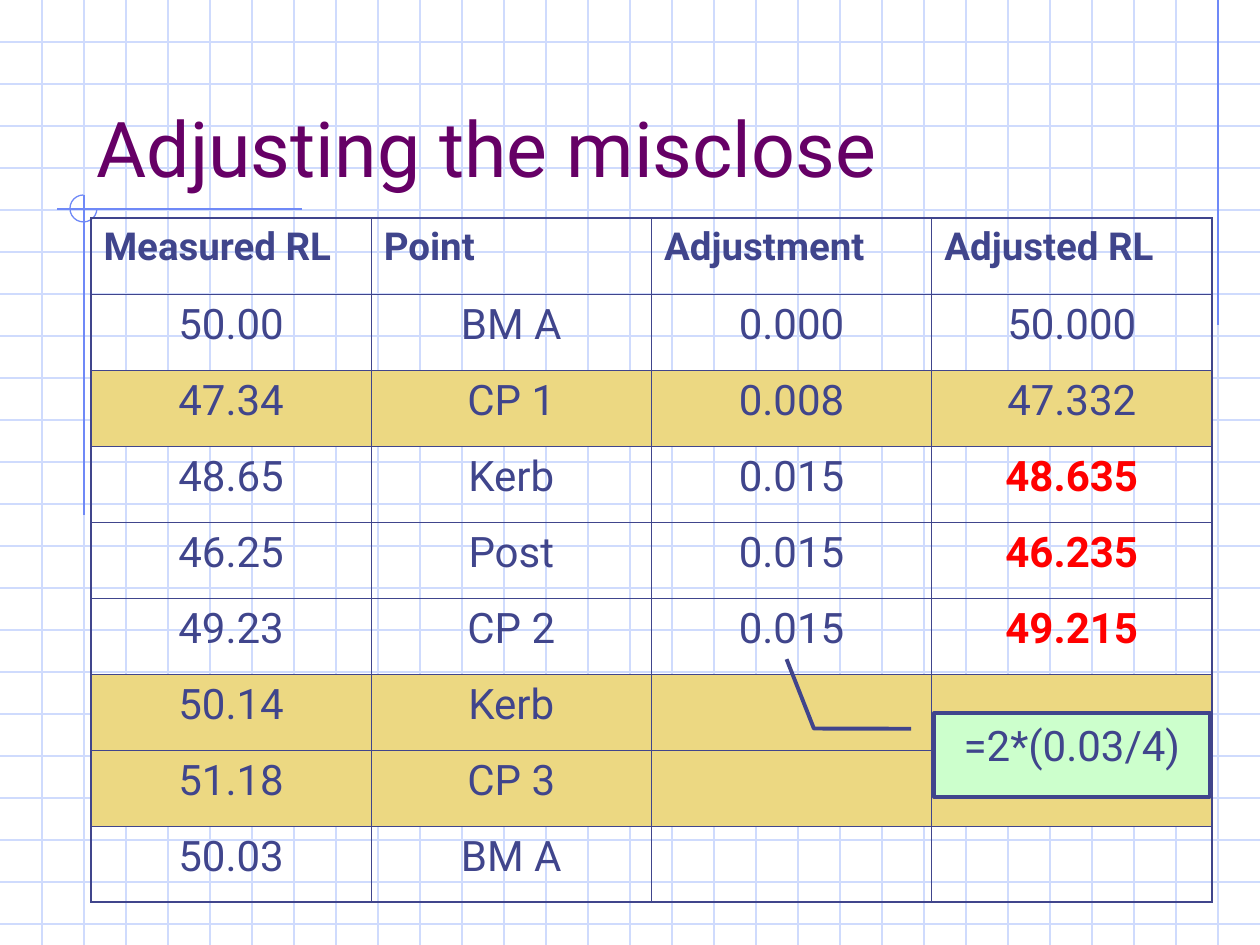
"""Build the slide on adjusting the misclose of a level run."""
import pptx
import pptx.dml.color
import pptx.enum.shapes
import pptx.enum.text
import pptx.oxml
import pptx.oxml.ns
import pptx.util

TITLE = "Adjusting the misclose"
HEAD = ("Measured RL", "Point", "Adjustment", "Adjusted RL")
ROWS = [
    ("50.00", "BM A", "0.000", "50.000"),
    ("47.34", "CP 1", "0.008", "47.332"),
    ("48.65", "Kerb", "0.015", "48.635"),
    ("46.25", "Post", "0.015", "46.235"),
    ("49.23", "CP 2", "0.015", "49.215"),
    ("50.14", "Kerb", "", ""),
    ("51.18", "CP 3", "", ""),
    ("50.03", "BM A", "", ""),
]
SHADED = {2, 6, 7}
FINAL = {"48.635", "46.235", "49.215"}
NOTE = "=2*(0.03/4)"
BEND = (0.188, -0.083, 0.185, -0.435, -0.641, -0.534)

WIDE, HIGH, STEP = 1260, 945, 42
RULES = [(1218, 0, 1218, 325), (302, 209, 57, 209), (84, 195, 84, 515)]
ARC = (70, 195, 27, 27)
TITLE_BOX = (84, 42, 1071, 157)
TABLE_BOX = (91, 218, 1121, 684)
NOTE_BOX = (934, 713, 276, 84)

THEME = {
    "font": "Roboto", "title": "660066", "ink": "40458C", "final": "FF0000",
    "grid": "CFDBFD", "rule": "6F89F7", "shade": "ECD882", "note": "CCFFCC",
    "title_pt": 44, "head_pt": 22, "body_pt": 24,
    "hair_pt": 0.75, "inner_pt": 0.45, "outer_pt": 1.08, "note_pt": 2.25,
}
ALIGN = pptx.enum.text.PP_ALIGN
ANCHOR = pptx.enum.text.MSO_ANCHOR
SHAPE = pptx.enum.shapes.MSO_SHAPE


def px(*sizes):
    return [pptx.util.Emu(round(size * 914400 / 126)) for size in sizes]


def paint(name):
    return pptx.dml.color.RGBColor.from_string(THEME[name])


def write(frame, text, size="body_pt", color="ink", bold=False, align=ALIGN.CENTER):
    para = frame.paragraphs[0]
    para.alignment = align
    run = para.add_run()
    run.text = text
    run.font.name = THEME["font"]
    run.font.size = pptx.util.Pt(THEME[size])
    run.font.bold = bold
    run.font.color.rgb = paint(color)


def stroke(line, color, width):
    line.color.rgb = paint(color)
    line.width = pptx.util.Pt(THEME[width])


def draw_line(shapes, ends, color):
    line = shapes.add_connector(pptx.enum.shapes.MSO_CONNECTOR.STRAIGHT, *px(*ends))
    stroke(line.line, color, "hair_pt")
    line.element.spPr.append(pptx.oxml.parse_xml(
        f"<a:effectLst {pptx.oxml.ns.nsdecls('a')}/>"))


def draw_shape(shapes, kind, box, bends, color, width):
    shape = shapes.add_shape(kind, *px(*box))
    shape.shadow.inherit = False
    for spot, bend in enumerate(bends):
        shape.adjustments[spot] = bend
    stroke(shape.line, color, width)
    return shape


def edge_cell(cell, outer):
    props = cell._tc.get_or_add_tcPr()
    for side in "LRTB":
        width = pptx.util.Pt(THEME["outer_pt" if side in outer else "inner_pt"])
        props.append(pptx.oxml.parse_xml(
            f'<a:ln{side} {pptx.oxml.ns.nsdecls("a")} w="{width}"><a:solidFill>'
            f'<a:srgbClr val="{THEME["ink"]}"/></a:solidFill></a:ln{side}>'))


def draw_table(shapes):
    lines = [HEAD, *ROWS]
    count, span = len(lines), len(HEAD)
    table = shapes.add_table(count, span, *px(*TABLE_BOX)).table
    table.first_row = table.horz_banding = False
    for col in table.columns:
        col.width = px(TABLE_BOX[2] / span)[0]
    for r, texts in enumerate(lines):
        table.rows[r].height = px(TABLE_BOX[3] / count)[0]
        for c, text in enumerate(texts):
            cell = table.cell(r, c)
            flags = {"L": c == 0, "R": c == span - 1, "T": r == 0, "B": r == count - 1}
            edge_cell(cell, [side for side, on in flags.items() if on])
            if r in SHADED:
                cell.fill.solid()
                cell.fill.fore_color.rgb = paint("shade")
            else:
                cell.fill.background()
            if r == 0:
                write(cell.text_frame, text, size="head_pt", bold=True, align=ALIGN.LEFT)
            elif text:
                final = text in FINAL
                write(cell.text_frame, text, color="final" if final else "ink", bold=final)


def main():
    deck = pptx.Presentation()
    deck.slide_width, deck.slide_height = px(WIDE, HIGH)
    slide = deck.slides.add_slide(deck.slide_layouts[5])
    shapes = slide.shapes

    for y in range(STEP, HIGH, STEP):
        draw_line(shapes, (0, y, WIDE, y), "grid")
    for x in range(STEP, WIDE, STEP):
        draw_line(shapes, (x, 0, x, HIGH), "grid")
    for ends in RULES:
        draw_line(shapes, ends, "rule")
    arc = draw_shape(shapes, SHAPE.ARC, ARC, (0, 162), "rule", "hair_pt")
    arc.fill.background()

    title = shapes.title
    shapes.element.append(title.element)
    title.left, title.top, title.width, title.height = px(*TITLE_BOX)
    frame = title.text_frame
    frame.auto_size = pptx.enum.text.MSO_AUTO_SIZE.NONE
    frame.vertical_anchor = ANCHOR.BOTTOM
    write(frame, TITLE, size="title_pt", color="title", align=ALIGN.LEFT)

    draw_table(shapes)

    note = draw_shape(shapes, SHAPE.LINE_CALLOUT_2, NOTE_BOX, BEND, "ink", "note_pt")
    note.fill.solid()
    note.fill.fore_color.rgb = paint("note")
    note.text_frame.word_wrap = True
    note.text_frame.vertical_anchor = ANCHOR.TOP
    write(note.text_frame, NOTE)

    deck.save("out.pptx")


if __name__ == "__main__":
    main()
